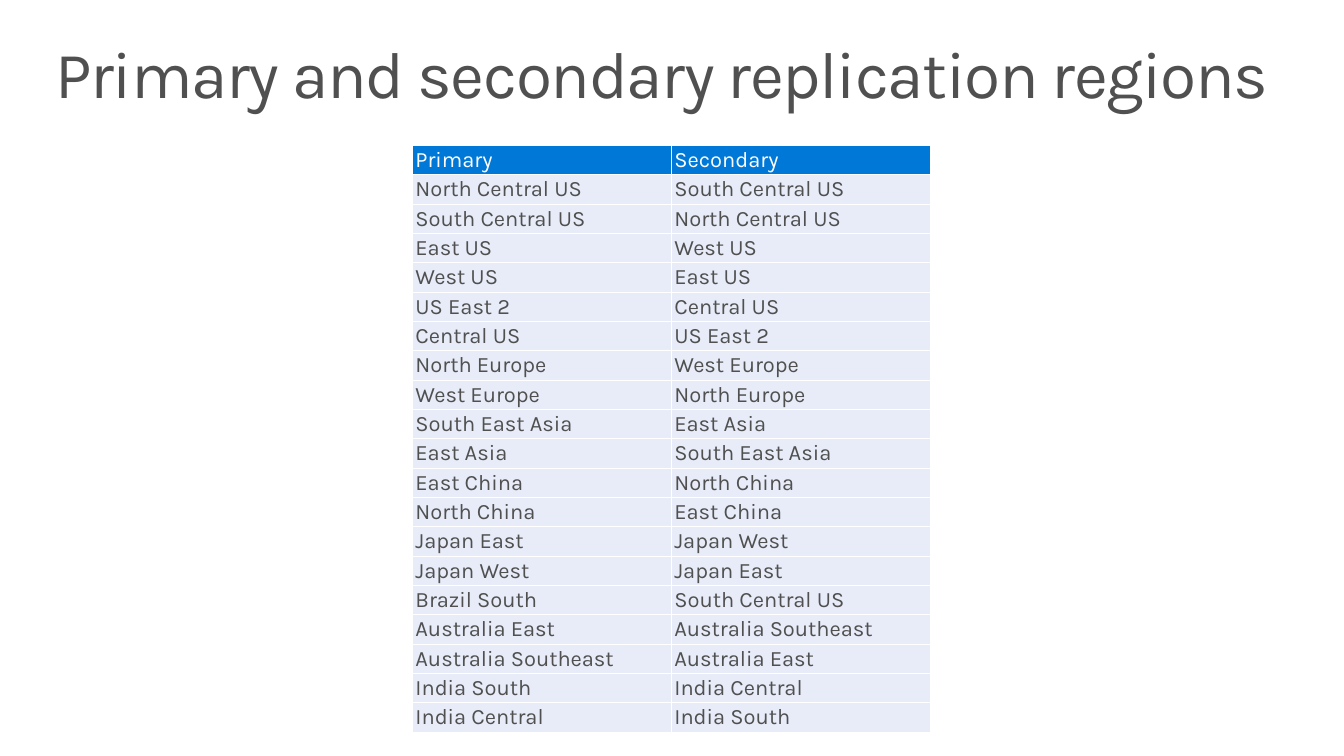
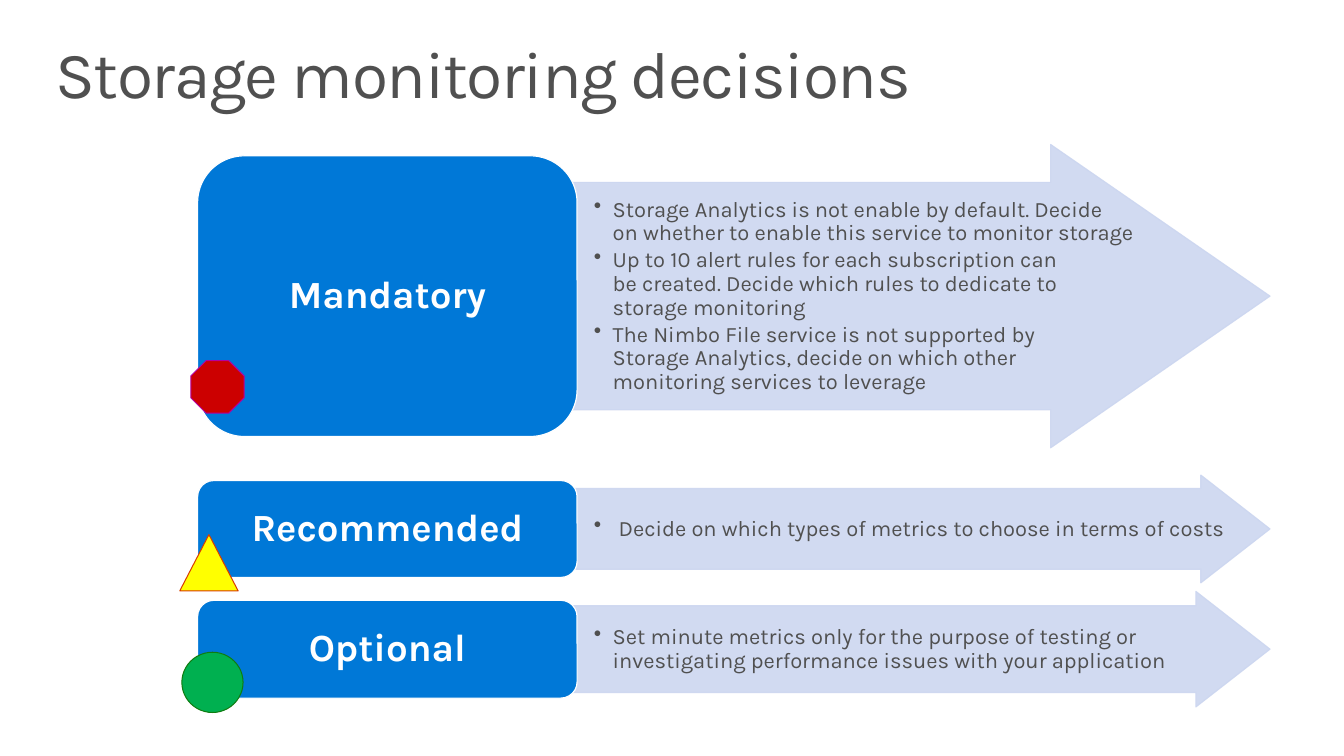
from lxml.etree import SubElement as Sub
from pptx import Presentation
from pptx.dml.color import RGBColor as Rgb
from pptx.enum.shapes import MSO_SHAPE as Shape
from pptx.enum.text import MSO_ANCHOR as Anchor, MSO_AUTO_SIZE as Fit, PP_ALIGN as Align
from pptx.oxml.ns import qn
from pptx.util import Pt

FONT = "Karla"
HEX = {
    "text": "505050", "white": "FFFFFF", "blue": "0078D7", "row": "E7ECF8", "arrow": "CCD6F0",
    "red": "CC0000", "purple": "B4009E", "yellow": "FFFF00", "orange": "D83B01",
    "green": "00B050", "forest": "107C10",
}


class Deck:
    def __init__(self):
        self.prs = Presentation()
        self.prs.slide_width, self.prs.slide_height = Pt(979.2), Pt(550.8)
        self.slide = None

    def style(self, par, size, color, bold=False, align=Align.LEFT, space=0.9):
        par.alignment, par.line_spacing = align, space
        font = par.font
        font.name, font.size, font.bold = FONT, Pt(size), bold
        font.color.rgb = Rgb.from_string(HEX[color])

    def inset(self, box, left, top, right, bottom):
        box.margin_left, box.margin_top = Pt(left), Pt(top)
        box.margin_right, box.margin_bottom = Pt(right), Pt(bottom)

    def paint(self, shape, fill, line, width, alpha=None):
        shape.shadow.inherit = False
        shape.fill.solid()
        shape.fill.fore_color.rgb = Rgb.from_string(HEX[fill])
        shape.line.color.rgb = Rgb.from_string(HEX[line])
        shape.line.width = Pt(width)
        if alpha:
            for clr in shape._element.spPr.iter(qn("a:srgbClr")):
                Sub(clr, qn("a:alpha"), val=str(alpha * 1000))

    def page(self, title):
        self.slide = self.prs.slides.add_slide(self.prs.slide_layouts[5])
        head = self.slide.shapes.title
        head.left, head.top, head.width, head.height = Pt(28.8), Pt(23), Pt(921.6), Pt(72)
        frame = head.text_frame
        frame.text = title
        frame.word_wrap, frame.auto_size = True, Fit.NONE
        frame.vertical_anchor = Anchor.TOP
        self.inset(frame, 11.5, 7.2, 11.5, 7.2)
        par = frame.paragraphs[0]
        self.style(par, 48, "text")
        par.runs[0]._r.get_or_add_rPr().set("spc", "-100")

    def cell(self, cell, text, fill, color):
        props = cell._tc.get_or_add_tcPr()
        for side in ("lnL", "lnR", "lnT", "lnB"):
            edge = Sub(props, qn("a:" + side), w=str(Pt(1)))
            Sub(Sub(edge, qn("a:solidFill")), qn("a:srgbClr"), val=HEX["white"])
        cell.fill.solid()
        cell.fill.fore_color.rgb = Rgb.from_string(HEX[fill])
        cell.vertical_anchor = Anchor.MIDDLE
        self.inset(cell, 2.2, 1.2, 2.2, 1.2)
        cell.text = text
        self.style(cell.text_frame.paragraphs[0], 16, color, space=1.0)

    def table(self, rows, left, top, width, pitch):
        count = len(rows[0])
        grid = self.slide.shapes.add_table(
            len(rows), count, Pt(left), Pt(top), Pt(width * count), Pt(pitch * len(rows))).table
        grid.first_row = grid.horz_banding = False
        for col in grid.columns:
            col.width = Pt(width)
        for i, row in enumerate(rows):
            grid.rows[i].height = Pt(pitch)
            fill, color = ("row", "text") if i else ("blue", "white")
            for j, text in enumerate(row):
                self.cell(grid.cell(i, j), text, fill, color)

    def bullet(self, par, text, gap):
        par.text = text
        props = par._p.get_or_add_pPr()
        props.set("marL", str(Pt(36.7 + gap)))
        props.set("indent", str(-Pt(gap)))
        Sub(props, qn("a:buChar"), char="•")
        self.style(par, 16, "text")
        par.space_after = Pt(2.4)

    def arrow(self, left, mid, width, height, head, items, gap):
        # The shaft fills three quarters of the height; text runs on into the head
        tip, neck = left + width, left + width - head
        half, shaft = height / 2, height * 3 / 8
        dots = [(neck, mid - shaft), (neck, mid - half), (tip, mid),
                (neck, mid + half), (neck, mid + shaft), (left, mid + shaft)]
        path = self.slide.shapes.build_freeform(Pt(left), Pt(mid - shaft))
        path.add_line_segments([(Pt(x), Pt(y)) for x, y in dots], close=True)
        shape = path.convert_to_shape()
        self.paint(shape, "arrow", "arrow", 0.85, alpha=90)
        frame = shape.text_frame
        frame.word_wrap, frame.vertical_anchor = True, Anchor.MIDDLE
        self.inset(frame, 0.7, height / 8, head * 0.59, height / 8)
        for i, text in enumerate(items):
            par = frame.add_paragraph() if i else frame.paragraphs[0]
            self.bullet(par, text, gap)

    def label(self, text, left, mid, width, height):
        shape = self.mark(Shape.ROUNDED_RECTANGLE, left, mid - height / 2, width, height,
                          "blue", "white", 0.85)
        frame = shape.text_frame
        frame.word_wrap, frame.vertical_anchor = True, Anchor.MIDDLE
        frame.text = text
        self.style(frame.paragraphs[0], 28, "white", True, Align.CENTER)

    def mark(self, kind, left, top, width, height, fill, line, weight=0.75):
        shape = self.slide.shapes.add_shape(kind, Pt(left), Pt(top), Pt(width), Pt(height))
        self.paint(shape, fill, line, weight)
        return shape


# Each pair replicates both ways, except the one-way Brazil South
PAIRS = [
    ("North Central US", "South Central US"), ("East US", "West US"),
    ("US East 2", "Central US"), ("North Europe", "West Europe"),
    ("South East Asia", "East Asia"), ("East China", "North China"),
    ("Japan East", "Japan West"), ("Brazil South", "South Central US"),
    ("Australia East", "Australia Southeast"), ("India South", "India Central"),
]

# Label, middle, label height, arrow height, head length, bullet gap, items
LEVELS = [
    ("Mandatory", 215.8, 204.5, 221, 159.8, 13.7, [
        "Storage Analytics is not enable by default. Decide\v"
        "on whether to enable this service to monitor storage",
        "Up to 10 alert rules for each subscription can\v"
        "be created. Decide which rules to dedicate to\vstorage monitoring",
        "The Nimbo File service is not supported by\v"
        "Storage Analytics, decide on which other\vmonitoring services to leverage"]),
    ("Recommended", 385.4, 70.6, 78.5, 50.4, 18, [
        "Decide on which types of metrics to choose in terms of costs"]),
    ("Optional", 473, 71.3, 84.2, 54, 13.7, [
        "Set minute metrics only for the purpose of testing or "
        "investigating performance issues with your application"]),
]

MARKS = [
    (Shape.ISOSCELES_TRIANGLE, 131, 389.5, 42.5, 41, "yellow", "orange"),
    (Shape.OCTAGON, 139, 262.8, 38.9, 38.2, "red", "purple"),
    (Shape.OVAL, 132.5, 475.2, 44.6, 43.9, "green", "forest"),
]


def main():
    deck = Deck()

    # Replication regions
    deck.page("Primary and secondary replication regions")
    rows = [("Primary", "Secondary")]
    for first, second in PAIRS:
        rows.append((first, second))
        if first != "Brazil South":
            rows.append((second, first))
    deck.table(rows, 300.5, 106, 188.7, 21.4)

    # Monitoring decisions
    deck.page("Storage monitoring decisions")
    for name, mid, tall, height, head, gap, items in LEVELS:
        deck.arrow(395.3, mid, 530, height, head, items, gap)
        deck.label(name, 144, mid, 276.5, tall)
    for mark in MARKS:
        deck.mark(*mark)

    deck.prs.save("out.pptx")


if __name__ == "__main__":
    main()
